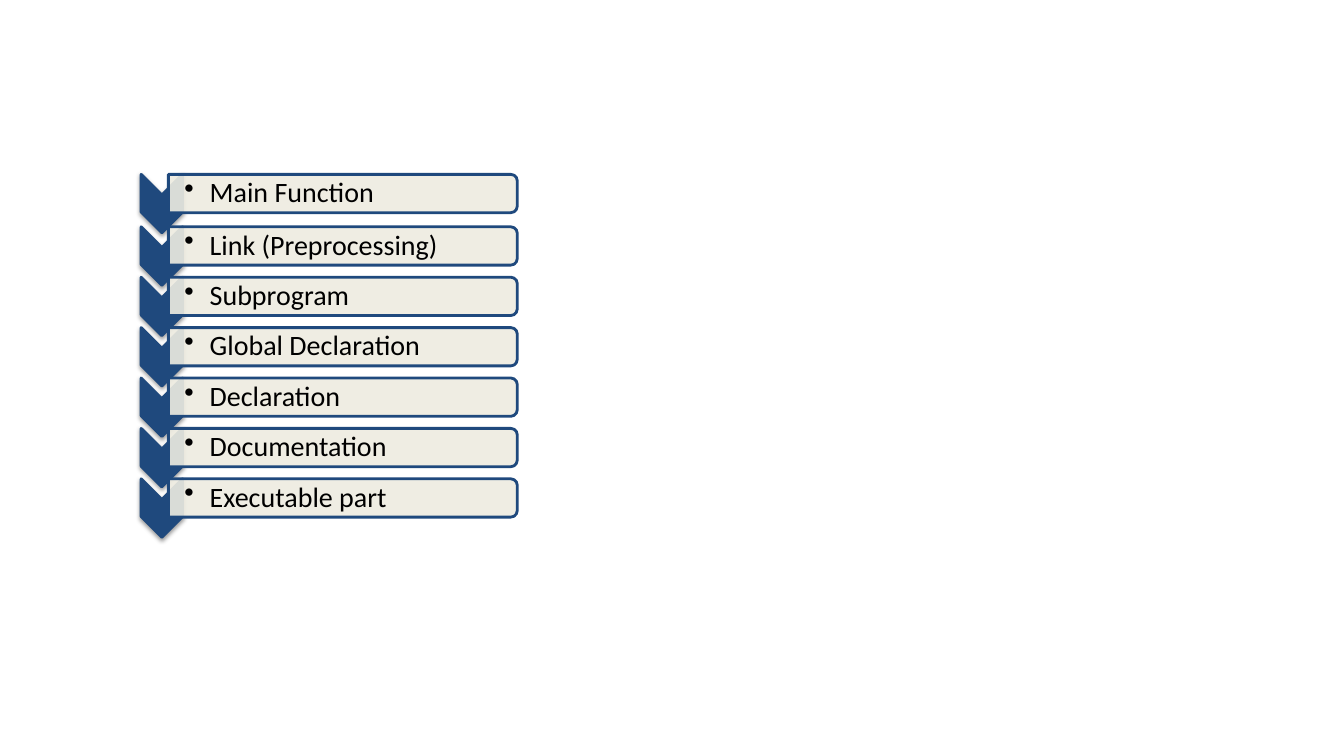
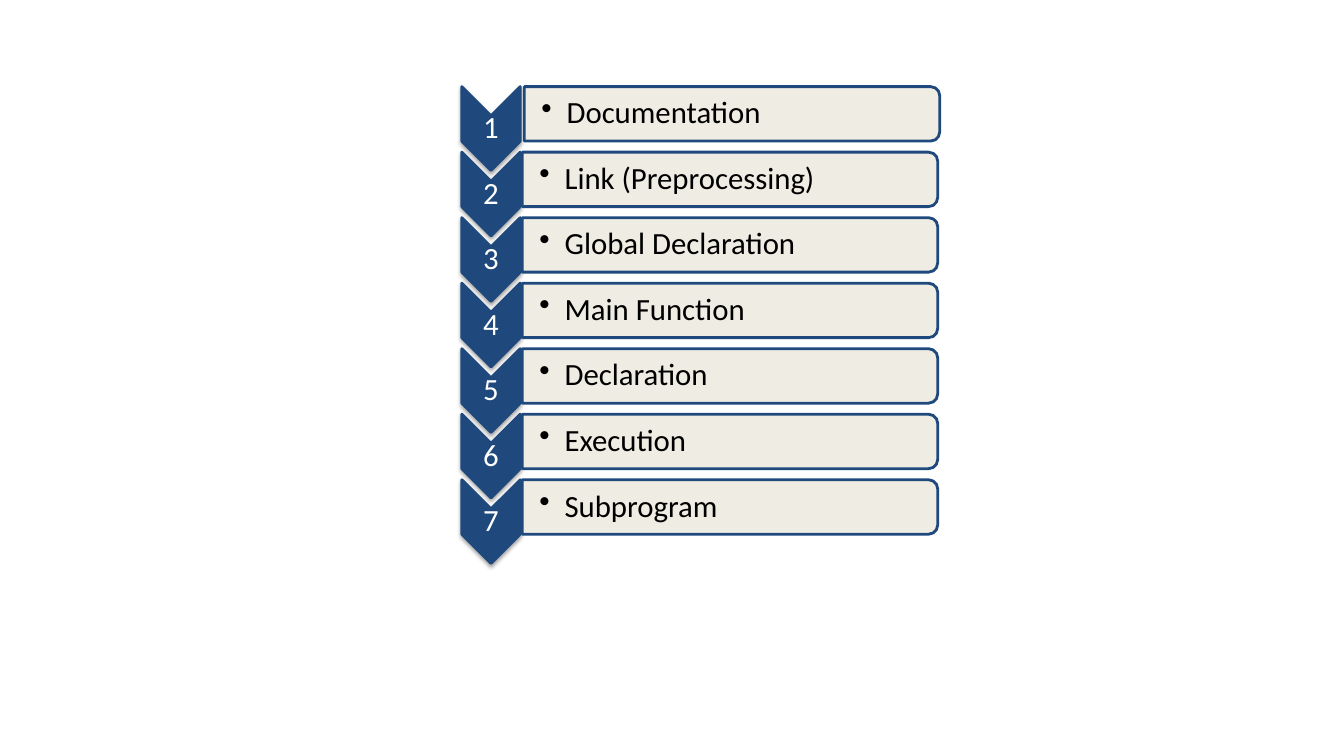
"""Build two slides of chevron lists naming the sections of a program."""

from dataclasses import dataclass
from typing import Any

from lxml import etree
from pptx import Presentation
from pptx.dml.color import RGBColor
from pptx.enum.shapes import MSO_SHAPE
from pptx.enum.text import MSO_ANCHOR, PP_ALIGN
from pptx.oxml.ns import qn
from pptx.util import Inches, Pt

NAVY = RGBColor(0x1F, 0x49, 0x7D)
CREAM = RGBColor(0xEE, 0xEC, 0xE1)
BLACK = RGBColor(0, 0, 0)
WHITE = RGBColor(0xFF, 0xFF, 0xFF)
CHEVRON = MSO_SHAPE.CHEVRON
ROUNDED_END = MSO_SHAPE.ROUND_2_SAME_RECTANGLE
MIDDLE = MSO_ANCHOR.MIDDLE
LEFT = PP_ALIGN.LEFT
CENTER = PP_ALIGN.CENTER
FONT = "Calibri"
BLANK_LAYOUT = 6


@dataclass(frozen=True)
class Area:
    left: float
    top: float
    width: float
    height: float


@dataclass(frozen=True)
class ListStyle:
    chevron_left: float
    chevron_width: float
    chevron_height: float
    bar_left: float
    bar_width: float
    bar_height: float
    text_offset: float
    left_inset: float
    inset: float
    size: float
    numbered: bool


@dataclass(frozen=True)
class Row:
    label: str
    top: float
    shift: float = 0


COMPACT = ListStyle(1.4, 0.41, 0.58, 1.67, 3.46, 0.38, 0.02, 0.16, 0.01, 20, False)
NUMBERED = ListStyle(4.58, 0.58, 0.83, 5.18, 4.12, 0.54, 0.03, 0.17, 0.02, 22, True)

COMPACT_LABELS = (
    "Link (Preprocessing)",
    "Subprogram",
    "Global Declaration",
    "Declaration",
    "Documentation",
    "Executable part",
)
NUMBERED_LABELS = (
    "Link (Preprocessing)",
    "Global Declaration",
    "Main Function",
    "Declaration",
    "Execution",
    "Subprogram",
)


def spaced_rows(labels: tuple[str, ...], top: float, step: float) -> list[Row]:
    """Place one row for each label at equal steps down the page."""
    return [Row(label, top + index * step) for index, label in enumerate(labels)]


def set_values(target: Any, values: dict[str, Any]) -> None:
    """Set each named attribute of the target."""
    for name, value in values.items():
        setattr(target, name, value)


def add_turned_shape(group: Any, kind: Any, area: Area, color: RGBColor) -> Any:
    """Add a shape turned a quarter clockwise so that it fills the area."""
    inset = (area.width - area.height) / 2
    shape = group.shapes.add_shape(
        kind,
        Inches(area.left + inset),
        Inches(area.top - inset),
        Inches(area.height),
        Inches(area.width),
    )
    shape.rotation = 90
    shape.fill.solid()
    shape.fill.fore_color.rgb = color
    shape.line.color.rgb = NAVY
    shape.line.width = Pt(2)
    shape.shadow.inherit = False
    return shape


def add_shadow(shape: Any) -> None:
    """Give the shape a soft shadow that falls straight down."""
    effects = shape.element.spPr.find(qn("a:effectLst"))
    shadow = etree.SubElement(
        effects,
        qn("a:outerShdw"),
        blurRad=str(Pt(3.1)),
        dist=str(Pt(1.6)),
        dir="5400000",
        rotWithShape="0",
    )
    color = etree.SubElement(shadow, qn("a:srgbClr"), val=str(BLACK))
    etree.SubElement(color, qn("a:alpha"), val="38000")


def set_opacity(shape: Any, percent: int) -> None:
    """Make the solid fill of the shape partly transparent."""
    color = shape.element.spPr.find(qn("a:solidFill")).find(qn("a:srgbClr"))
    etree.SubElement(color, qn("a:alpha"), val=str(percent * 1000))


def add_text(
    group: Any,
    text: str,
    area: Area,
    style: ListStyle,
    color: RGBColor,
    bulleted: bool,
) -> None:
    """Add a bulleted label or a centred number."""
    box = group.shapes.add_textbox(
        Inches(area.left), Inches(area.top), Inches(area.width), Inches(area.height)
    )
    inset = Inches(style.inset)
    frame_values = {
        "word_wrap": True,
        "vertical_anchor": MIDDLE,
        "margin_left": Inches(style.left_inset) if bulleted else inset,
        "margin_top": inset,
        "margin_right": inset,
        "margin_bottom": inset,
    }
    set_values(box.text_frame, frame_values)
    para = box.text_frame.paragraphs[0]
    para_values = {
        "alignment": LEFT if bulleted else CENTER,
        "level": int(bulleted),
        "line_spacing": 0.9,
    }
    set_values(para, para_values)
    properties = para._p.get_or_add_pPr()
    after = etree.SubElement(properties, qn("a:spcAft"))
    etree.SubElement(after, qn("a:spcPct"), val="15000" if bulleted else "35000")
    if bulleted:
        properties.set("marL", str(Inches(0.25)))
        properties.set("indent", str(Inches(-0.25)))
        etree.SubElement(properties, qn("a:buChar"), char="•")
    span = para.add_run()
    span.text = text
    set_values(span.font, {"name": FONT, "size": Pt(style.size)})
    span.font.color.rgb = color


def add_row(page: Any, row: Row, number: int, style: ListStyle) -> None:
    """Draw one grouped row: chevron, optional number, bar and label."""
    group = page.shapes.add_group_shape()
    chevron_area = Area(
        style.chevron_left, row.top, style.chevron_width, style.chevron_height
    )
    add_shadow(add_turned_shape(group, CHEVRON, chevron_area, NAVY))
    if style.numbered:
        point = style.chevron_width / 2
        number_area = Area(
            style.chevron_left,
            row.top + point,
            style.chevron_width,
            style.chevron_height - 2 * point,
        )
        add_text(group, str(number), number_area, style, WHITE, False)
    bar_left = style.bar_left + row.shift
    bar_area = Area(bar_left, row.top, style.bar_width, style.bar_height)
    set_opacity(add_turned_shape(group, ROUNDED_END, bar_area, CREAM), 90)
    label_area = Area(
        bar_left,
        row.top + style.text_offset,
        style.bar_width - style.text_offset,
        style.bar_height - 2 * style.text_offset,
    )
    add_text(group, row.label, label_area, style, BLACK, True)


def add_list_page(deck: Any, rows: list[Row], style: ListStyle) -> None:
    """Add a page that holds one chevron list."""
    page = deck.slides.add_slide(deck.slide_layouts[BLANK_LAYOUT])
    for number, row in enumerate(rows, start=1):
        add_row(page, row, number, style)


def main() -> None:
    """Build and save the deck."""
    deck = Presentation()
    set_values(deck, {"slide_width": Inches(13.33), "slide_height": Inches(7.5)})
    compact_rows = [Row("Main Function", 1.73), *spaced_rows(COMPACT_LABELS, 2.25, 0.5)]
    numbered_rows = [
        Row("Documentation", 0.86, 0.02),
        *spaced_rows(NUMBERED_LABELS, 1.51, 0.65),
    ]
    add_list_page(deck, compact_rows, COMPACT)
    add_list_page(deck, numbered_rows, NUMBERED)
    deck.save("out.pptx")


if __name__ == "__main__":
    main()
